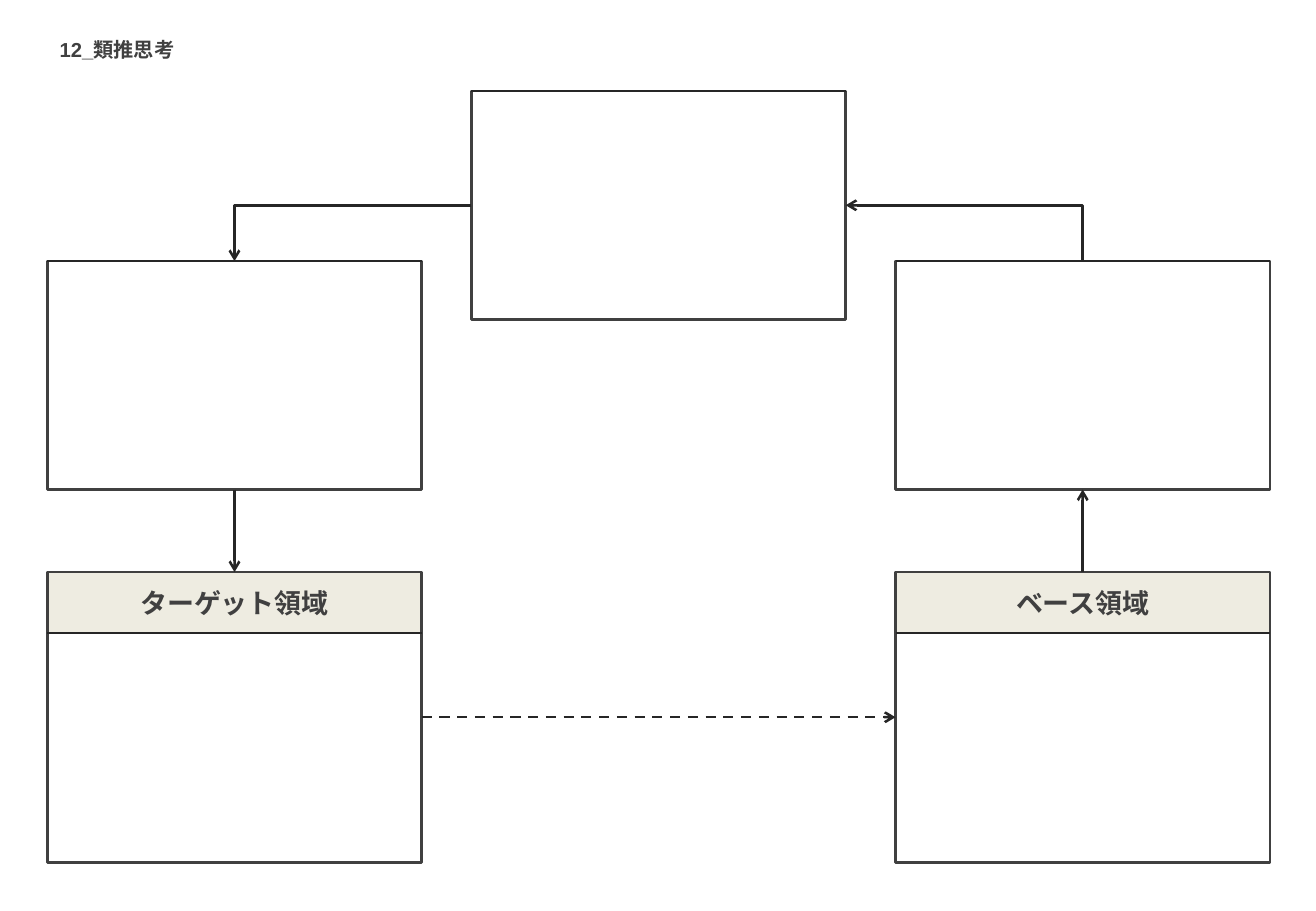
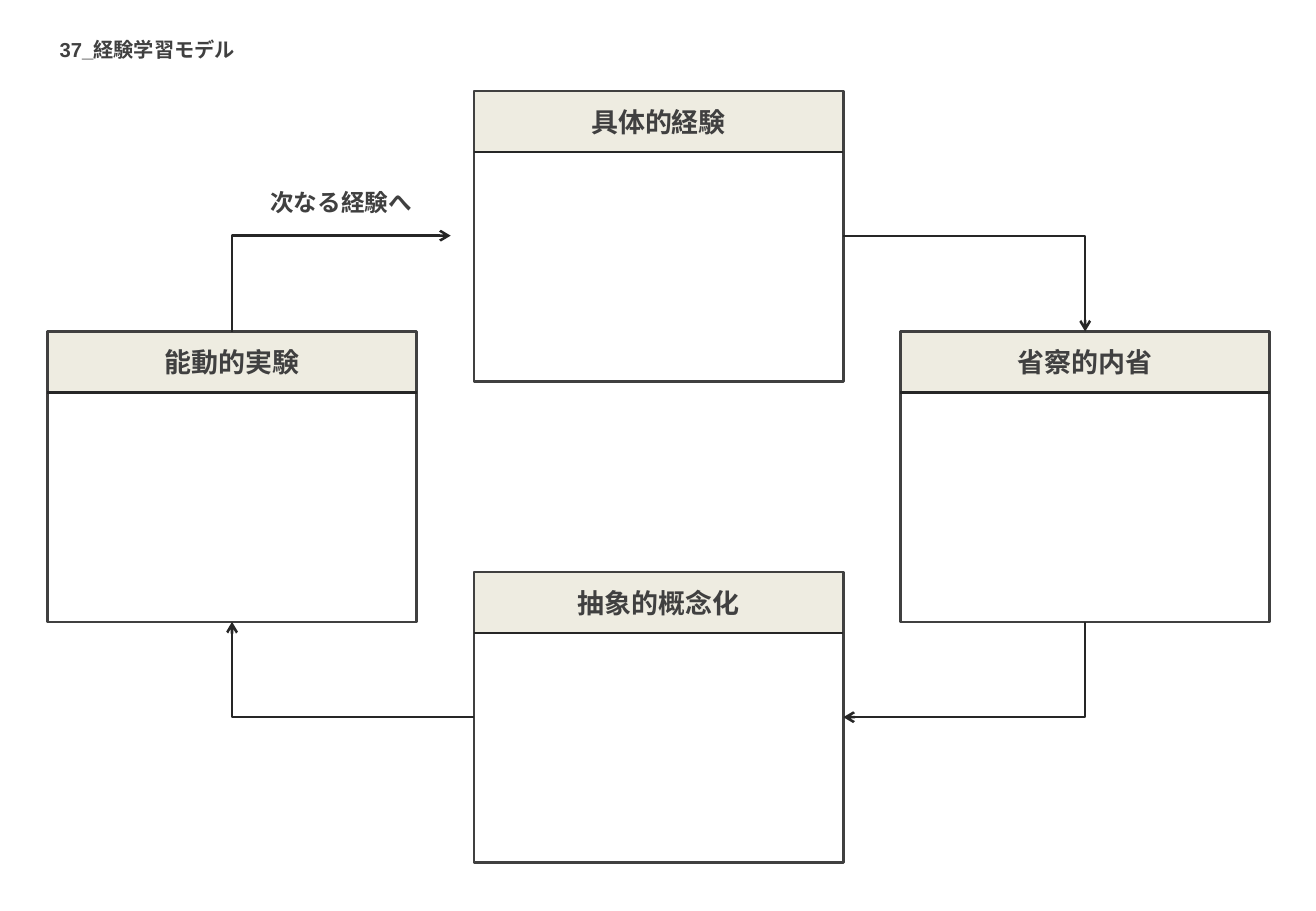
from lxml import etree
from pptx import Presentation
from pptx import util as u
from pptx.dml.color import RGBColor
from pptx.enum import dml, shapes, text
from pptx.oxml.ns import qn

PX = 9144  # 100 px to the inch
INK = RGBColor(0x40, 0x40, 0x40)
RULE = RGBColor(0x26, 0x26, 0x26)
BAND = RGBColor(0xEE, 0xEC, 0xE1)
FONT = "Arial"
LEFT, RIGHT = 39, 1045
BAND_H, CARD_H, PLAIN_H = 50, 239, 188
STRAIGHT, ELBOW = shapes.MSO_CONNECTOR.STRAIGHT, shapes.MSO_CONNECTOR.ELBOW
TOP, WEST, BOTTOM, EAST = range(4)


def add_line(s, kind, at=(0, 0, 0, 0), arrow=None):
    """Line with an optional arrow at its headEnd (start) or tailEnd (finish)."""
    c = s.shapes.add_connector(kind, *(v * PX for v in at))
    c.line.color.rgb = RULE
    c.line.width = u.Pt(1.5)
    props = c._element.spPr
    if kind == ELBOW:  # one corner: across first, then up or down
        props.find(qn("a:prstGeom")).set("prst", "bentConnector2")
    if arrow:
        etree.SubElement(c.line._get_or_add_ln(), qn("a:" + arrow), type="arrow")
    etree.SubElement(props, qn("a:effectLst"))
    return c


def add_card(s, x, y, w, label=None):
    """Outlined box, with a titled band on top when there is a label."""
    rect = shapes.MSO_SHAPE.RECTANGLE
    if label:
        band = s.shapes.add_shape(rect, x * PX, y * PX, w * PX, BAND_H * PX)
        band.shadow.inherit = False
        band.fill.solid()
        band.fill.fore_color.rgb = BAND
        band.line.fill.background()
        band.text_frame.vertical_anchor = text.MSO_ANCHOR.MIDDLE
        p = band.text_frame.paragraphs[0]
        p.text, p.alignment = label, text.PP_ALIGN.CENTER
        f = p.font
        f.name, f.size, f.bold, f.color.rgb = FONT, u.Pt(16), True, INK
    h = CARD_H if label else PLAIN_H
    frame = s.shapes.add_shape(rect, x * PX, y * PX, w * PX, h * PX)
    frame.shadow.inherit = False
    frame.fill.background()
    frame.line.color.rgb = INK
    frame.line.width = u.Pt(1.5)
    rule_y = y + BAND_H if label else y
    add_line(s, STRAIGHT, (x, rule_y, x + w, rule_y))
    return frame


prs = Presentation()
prs.slide_width, prs.slide_height = 1083 * PX, 750 * PX

# Slides with their titles
slides = []
for title, width in (("12_類推思考", 115), ("37_経験学習モデル", 166)):
    s = prs.slides.add_slide(prs.slide_layouts[5])
    sp = s.shapes.title
    sp.left, sp.top, sp.width, sp.height = LEFT * PX, 26 * PX, width * PX, 30 * PX
    tf = sp.text_frame
    tf.word_wrap = True
    tf.auto_size = text.MSO_AUTO_SIZE.NONE
    tf.vertical_anchor = text.MSO_ANCHOR.TOP
    p = tf.paragraphs[0]
    p.text, p.alignment = title, text.PP_ALIGN.LEFT
    f = p.font
    f.name, f.size, f.bold, f.color.rgb = FONT, u.Pt(12), True, INK
    slides.append(s)
analogy, learning = slides

# Analogy: cards in three columns
w = 308
col = [LEFT + i * (RIGHT - LEFT - w) // 2 for i in range(3)]
target = add_card(analogy, col[0], 471, w, "ターゲット領域")
base = add_card(analogy, col[2], 471, w, "ベース領域")
center = add_card(analogy, col[1], 75, w)
right = add_card(analogy, col[2], 215, w)
left = add_card(analogy, col[0], 215, w)
analogy_links = [
    (ELBOW, center, EAST, right, TOP, "headEnd"),
    (ELBOW, center, WEST, left, TOP, "tailEnd"),
    (STRAIGHT, base, TOP, right, BOTTOM, "tailEnd"),
    (STRAIGHT, left, BOTTOM, target, TOP, "tailEnd"),
    (STRAIGHT, target, EAST, base, WEST, "tailEnd"),
]

# Experiential learning: a cycle of four cards
w = 304
col = [LEFT + i * (RIGHT - LEFT - w) // 2 for i in range(3)]
concrete = add_card(learning, col[1], 75, w, "具体的経験")
reflective = add_card(learning, col[2], 273, w, "省察的内省")
abstract = add_card(learning, col[1], 471, w, "抽象的概念化")
active = add_card(learning, col[0], 273, w, "能動的実験")
learning_links = [
    (ELBOW, concrete, EAST, reflective, TOP, "tailEnd"),
    (ELBOW, abstract, EAST, reflective, BOTTOM, "headEnd"),
    (ELBOW, abstract, WEST, active, BOTTOM, "tailEnd"),
]

# Arrows between cards
for s, links in ((analogy, analogy_links), (learning, learning_links)):
    for kind, start, start_side, finish, finish_side, arrow in links:
        c = add_line(s, kind, arrow=arrow)
        c.begin_connect(start, start_side)
        c.end_connect(finish, finish_side)
        if (start, finish) == (target, base):
            c.line.dash_style = dml.MSO_LINE.DASH

# Arrow on to the next experience, stopping short of the card
c = add_line(learning, ELBOW, (371, 194, 191, 273), "headEnd")
c.end_connect(active, TOP)
sp = learning.shapes.add_textbox(191 * PX, 149 * PX, 180 * PX, 34 * PX)
tf = sp.text_frame
tf.word_wrap = True
tf.vertical_anchor = text.MSO_ANCHOR.MIDDLE
p = tf.paragraphs[0]
p.text, p.alignment = "次なる経験へ", text.PP_ALIGN.CENTER
f = p.font
f.name, f.size, f.bold, f.color.rgb = FONT, u.Pt(14), True, INK

prs.save("out.pptx")
